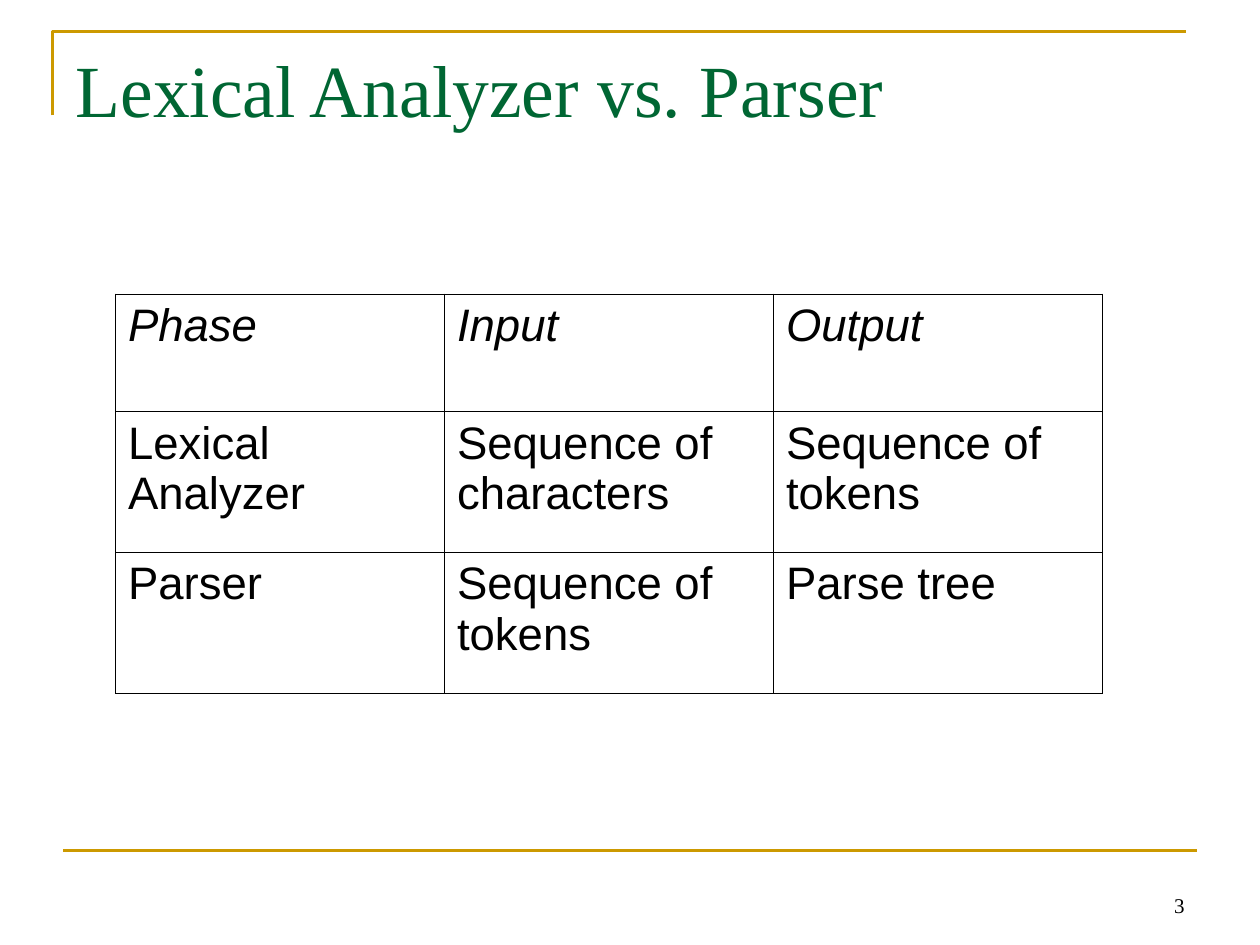
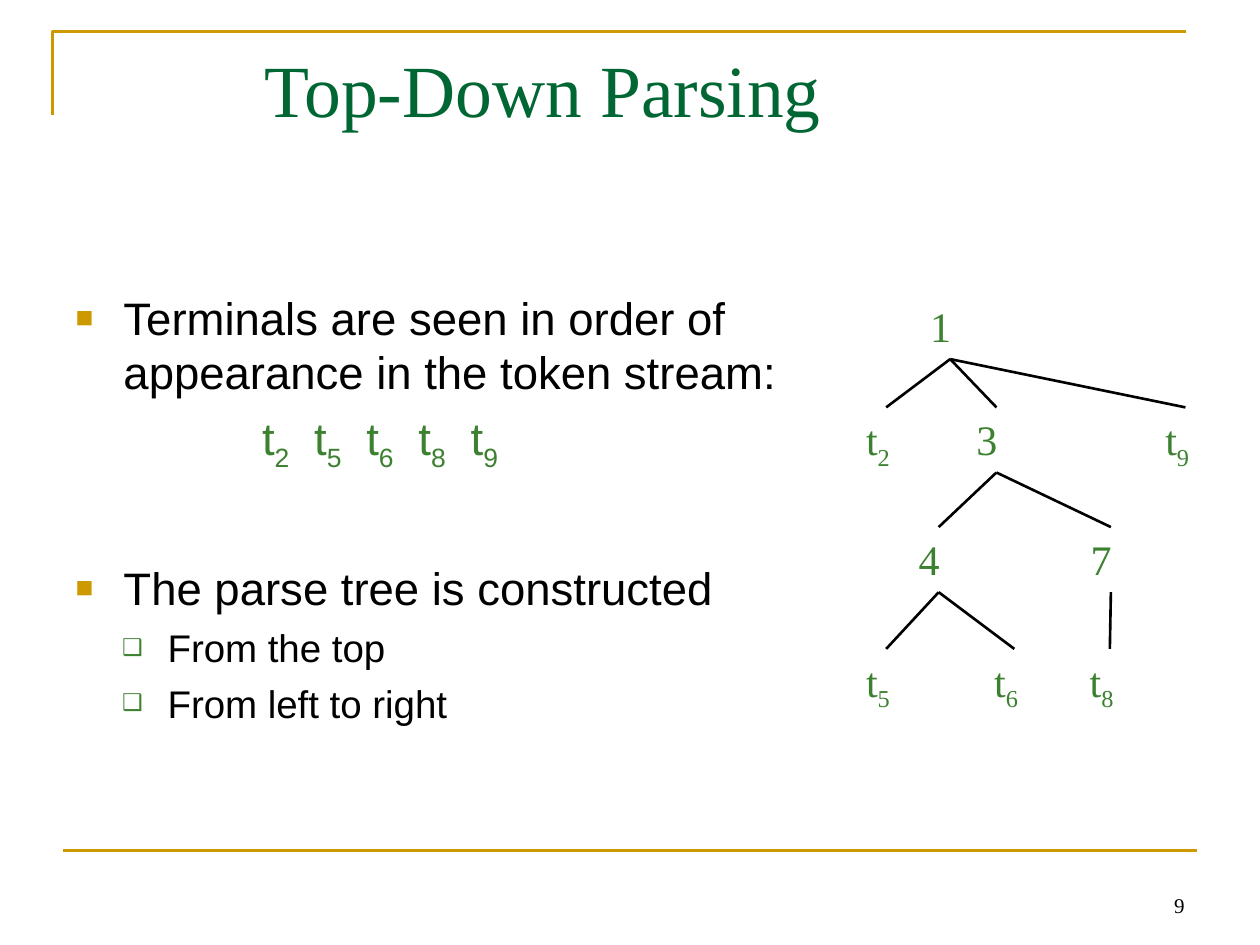
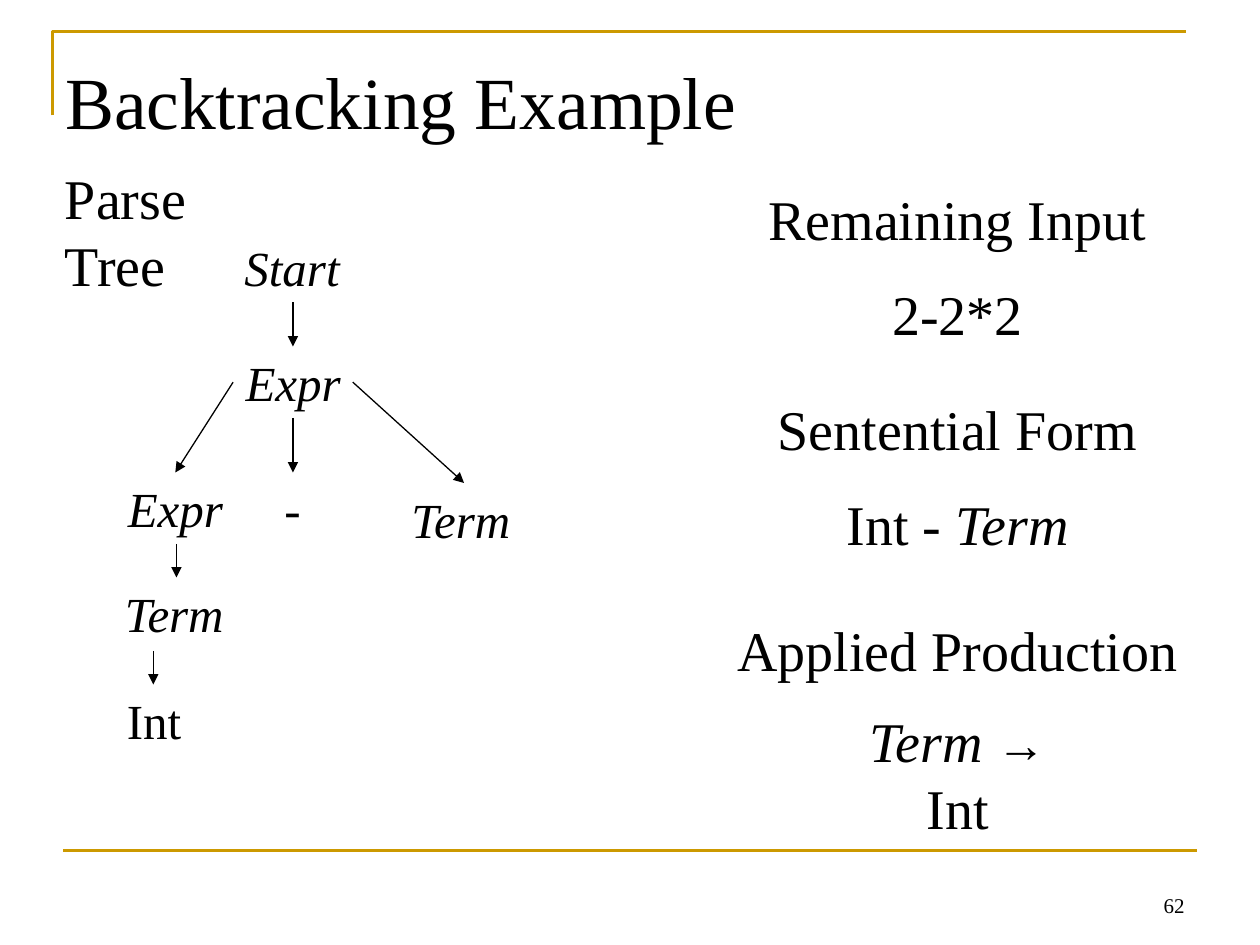
from lxml import etree
from pptx import Presentation
from pptx.dml.color import RGBColor
from pptx.enum.shapes import MSO_CONNECTOR
from pptx.enum.text import MSO_ANCHOR, MSO_AUTO_SIZE, PP_ALIGN
from pptx.oxml.ns import qn
from pptx.util import Inches, Pt

STRAIGHT = MSO_CONNECTOR.STRAIGHT
TOP, MIDDLE, BOTTOM = MSO_ANCHOR.TOP, MSO_ANCHOR.MIDDLE, MSO_ANCHOR.BOTTOM
FIXED = MSO_AUTO_SIZE.NONE
LEFT, CENTER, RIGHT = PP_ALIGN.LEFT, PP_ALIGN.CENTER, PP_ALIGN.RIGHT

BLACK = RGBColor(0x00, 0x00, 0x00)
WHITE = RGBColor(0xFF, 0xFF, 0xFF)
GOLD = RGBColor(0xCC, 0x99, 0x00)
PINE = RGBColor(0x00, 0x66, 0x33)
GREEN = RGBColor(0x3B, 0x81, 0x2F)
SERIF, SANS = "Times New Roman", "Arial"
COLS, ROWS = 120, 90
TITLED, LISTED = 5, 1


def put(para, text, size=26, face=SERIF, tint=BLACK, ital=False, sub=False, gap=0):
    run = para.add_run()
    run.text = text
    font = run.font
    font.size, font.name, font.italic = Pt(size), face, ital
    font.color.rgb = tint
    marks = run._r.get_or_add_rPr()
    if sub:
        marks.set("baseline", "-25000")
    if gap:
        marks.set("spc", str(gap * 100))


def node(parent, tag, **attrs):
    return etree.SubElement(parent, qn(tag), attrs)


class Deck:
    def __init__(self):
        self.show = Presentation()
        self.show.slide_width, self.show.slide_height = Inches(10), Inches(7.5)
        self.slide = None

    def col(self, count):
        return int(self.show.slide_width * count / COLS)

    def row(self, count):
        return int(self.show.slide_height * count / ROWS)

    def box(self, x, y, wide, high):
        return self.col(x), self.row(y), self.col(wide), self.row(high)

    def place(self, shape, x, y, wide, high, anchor=TOP):
        shape.left, shape.top, shape.width, shape.height = self.box(x, y, wide, high)
        frame = shape.text_frame
        frame.word_wrap, frame.auto_size = True, FIXED
        frame.vertical_anchor = anchor
        return frame

    def start(self, number, layout=TITLED):
        self.slide = self.show.slides.add_slide(self.show.slide_layouts[layout])
        pen = self.slide.shapes.build_freeform(self.col(5), self.row(11))
        pen.add_line_segments([(self.col(5), self.row(3)), (self.col(113), self.row(3))], close=False)
        band = pen.convert_to_shape()
        band.shadow.inherit = False
        band.fill.background()
        band.line.color.rgb, band.line.width = GOLD, Pt(1.5)
        self.line((6, 81), (114, 81), tint=GOLD)
        self.label(86, 82, [[(number, {})]], wide=28, high=6, size=12, align=RIGHT, anchor=BOTTOM)

    def title(self, text, x, y, wide, tint=PINE, anchor=TOP):
        frame = self.place(self.slide.shapes.title, x, y, wide, 15, anchor)
        para = frame.paragraphs[0]
        para.alignment = LEFT
        put(para, text, size=42, tint=tint)

    def label(self, x, y, lines, wide=14, high=7, align=LEFT, anchor=TOP, fill=None, **style):
        shape = self.slide.shapes.add_textbox(*self.box(x, y, wide, high))
        frame = self.place(shape, x, y, wide, high, anchor)
        if fill is not None:
            shape.fill.solid()
            shape.fill.fore_color.rgb = fill
        for spot, runs in enumerate(lines):
            para = frame.add_paragraph() if spot else frame.paragraphs[0]
            para.alignment = align
            for text, extra in runs:
                put(para, text, **{**style, **extra})

    def line(self, head, tail, tint=BLACK, width=1.5, arrow=False):
        ends = [self.col(head[0]), self.row(head[1]), self.col(tail[0]), self.row(tail[1])]
        link = self.slide.shapes.add_connector(STRAIGHT, *ends)
        link.line.color.rgb, link.line.width = tint, Pt(width)
        if arrow:
            node(link.line._get_or_add_ln(), "a:tailEnd", type="triangle")
        node(link._element.spPr, "a:effectLst")

    def table(self, x, y, wide, highs, data):
        shape = self.slide.shapes.add_table(
            len(data), len(data[0]), *self.box(x, y, wide, sum(highs)))
        grid = shape.table
        grid.first_row = grid.horz_banding = False
        for column in grid.columns:
            column.width = self.col(wide / len(data[0]))
        for r, (high, words) in enumerate(zip(highs, data)):
            grid.rows[r].height = self.row(high)
            for c, word in enumerate(words):
                cell = grid.cell(r, c)
                cell.fill.background()
                put(cell.text_frame.paragraphs[0], word, face=SANS, ital=r == 0)
                self.edge(cell)

    def edge(self, cell):
        props = cell._tc.get_or_add_tcPr()
        for spot, side in enumerate(("a:lnL", "a:lnR", "a:lnT", "a:lnB")):
            line = etree.Element(qn(side), w=str(Pt(0.45)))
            node(node(line, "a:solidFill"), "a:srgbClr", val=str(BLACK))
            props.insert(spot, line)

    def list(self, x, y, wide, high, items):
        frame = self.place(self.slide.placeholders[1], x, y, wide, high)
        for spot, (runs, style, size, space) in enumerate(items):
            para = frame.add_paragraph() if spot else frame.paragraphs[0]
            level, inset, hang, mark, tint, share = style
            para.level = level
            props = para._p.get_or_add_pPr()
            props.set("marL", str(Inches(inset)))
            props.set("indent", str(Inches(-hang)))
            if mark:
                node(node(props, "a:buClr"), "a:srgbClr", val=str(tint))
                node(props, "a:buSzPct", val=str(share * 1000))
                node(props, "a:buFont", typeface=SANS)
                node(props, "a:buChar", char=mark)
            else:
                node(props, "a:buNone")
            para.space_before = Pt(space)
            for text, extra in runs:
                put(para, text, size=size, face=SANS, **extra)


def compare(deck):
    deck.start("3")
    deck.title("Lexical Analyzer vs. Parser", 6, 3.6, 108)
    deck.table(11, 28, 94, (11.2, 13.4, 13.4), [
        ("Phase", "Input", "Output"),
        ("Lexical Analyzer", "Sequence of characters", "Sequence of tokens"),
        ("Parser", "Sequence of tokens", "Parse tree"),
    ])


def descend(deck):
    deck.start("9", LISTED)
    deck.title("Top-Down Parsing", 24, 3.6, 90)

    main = (0, 0.38, 0.38, "■", GOLD, 65)
    minor = (1, 0.73, 0.36, "❑", GREEN, 60)
    plain = (1, 1.48, 0, None, None, 0)
    stream = []
    for digit in "25689":
        if stream:
            stream.append((" ", {"gap": 7}))
        stream += [("t", {"tint": GREEN}), (digit, {"tint": GREEN, "sub": True})]
    deck.list(6, 27, 77, 53, [
        ([("Terminals are seen in order of appearance in the token stream:", {})], main, 26, 0),
        (stream, plain, 26, 6.5),
        ([("The parse tree is constructed", {})], main, 26, 50),
        ([("From the top", {})], minor, 22, 5.5),
        ([("From left to right", {})], minor, 22, 5.5),
    ])

    tiers = (28, 38.8, 50.2, 61.8)
    spots = {
        "1": (90.5, 0), "t2": (84.4, 1), "3": (94.9, 1), "t9": (112.9, 1),
        "4": (89.4, 2), "7": (105.8, 2),
        "t5": (84.4, 3), "t6": (96.6, 3), "t8": (105.7, 3),
    }
    tree = {"1": ("t2", "3", "t9"), "3": ("4", "7"), "4": ("t5", "t6"), "7": ("t8",)}
    for name, (x, tier) in spots.items():
        runs = [(name[0], {})] + [(digit, {"sub": True}) for digit in name[1:]]
        deck.label(x - 3.1, tiers[tier], [runs], wide=7, size=24, tint=GREEN)
    for top, kids in tree.items():
        x, tier = spots[top]
        for kid in kids:
            end, below = spots[kid]
            deck.line((x, tiers[tier] + 6.2), (end, tiers[below]))


def backtrack(deck):
    deck.start("62")
    deck.title("Backtracking Example", 5, 2, 110, tint=BLACK, anchor=MIDDLE)
    deck.label(5, 15, [[("Parse", {})], [("Tree", {})]], wide=15.2, high=14, size=32)

    slant = {"ital": True}
    panel = [
        (17, [[("Remaining Input", {})]]),
        (26, [[("2-2*2", {})]]),
        (37, [[("Sentential Form", {})]]),
        (46, [[("Int", {}), (" - Term", slant)]]),
        (58, [[("Applied Production", {})]]),
        (66.7, [[("Term ", slant), ("→", {"size": 28, "face": SANS})], [("Int", {})]]),
    ]
    for y, lines in panel:
        deck.label(67.2, y, lines, wide=48, high=7.7 * len(lines), align=CENTER, size=32)

    for x, y, word in [(22.1, 22, "Start"), (22.2, 33, "Expr"), (11, 45, "Expr"),
                       (25.9, 45, "-"), (38, 46, "Term"), (10.7, 55, "Term")]:
        deck.label(x, y, [[(word, slant)]], size=28)
    deck.label(10.9, 65.2, [[("Int", {})]], wide=8, size=28, fill=WHITE)

    for head, tail in [((27.9, 28.8), (27.9, 33)), ((27.9, 39.8), (27.9, 45)),
                       ((33.6, 36.4), (44.2, 46)), ((22.2, 36.4), (16.7, 45)),
                       ((16.8, 51.8), (16.8, 55)), ((14.6, 62), (14.6, 65.2))]:
        deck.line(head, tail, width=0.75, arrow=True)


def main():
    deck = Deck()
    for build in (compare, descend, backtrack):
        build(deck)
    deck.show.save("out.pptx")


if __name__ == "__main__":
    main()
